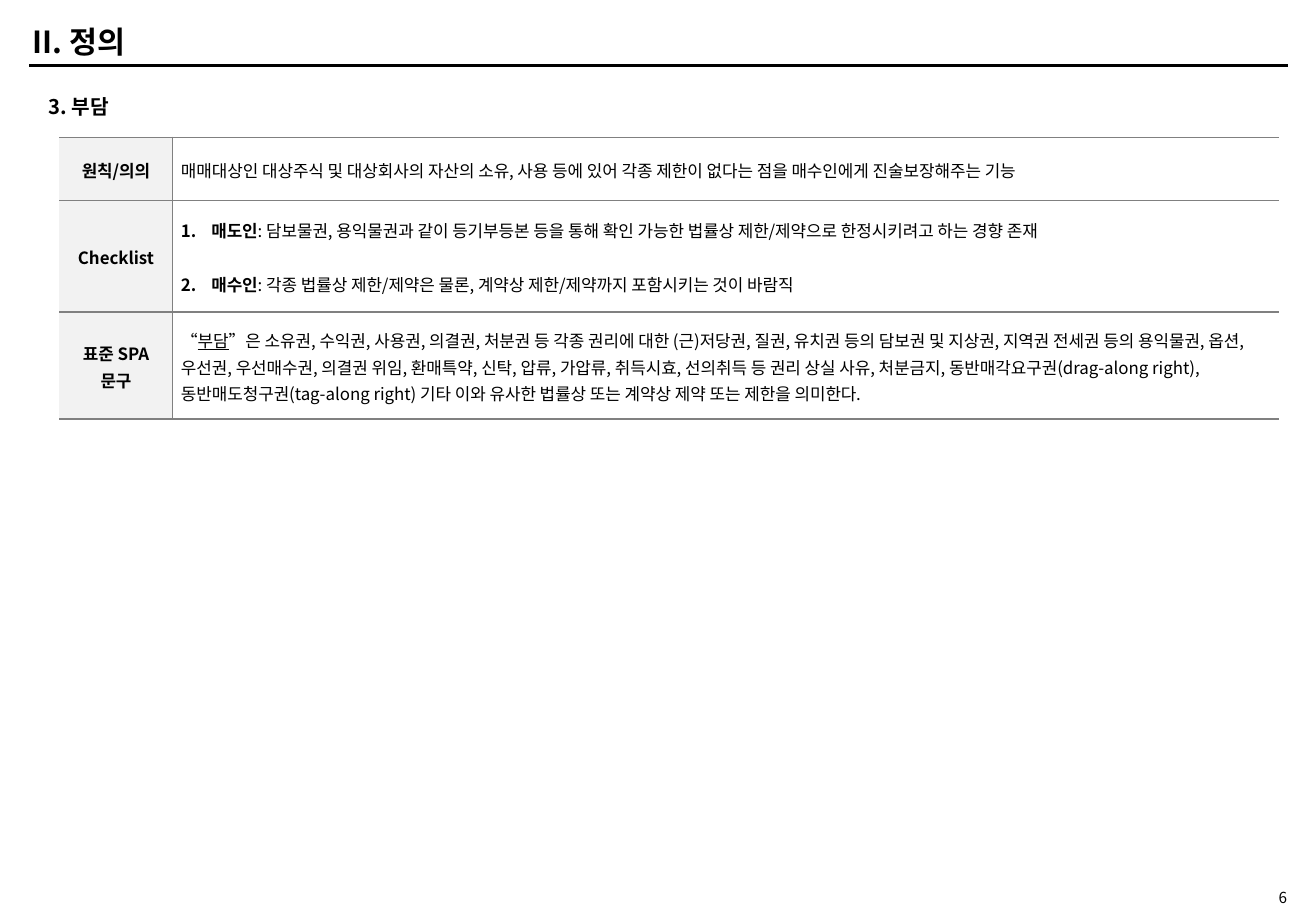
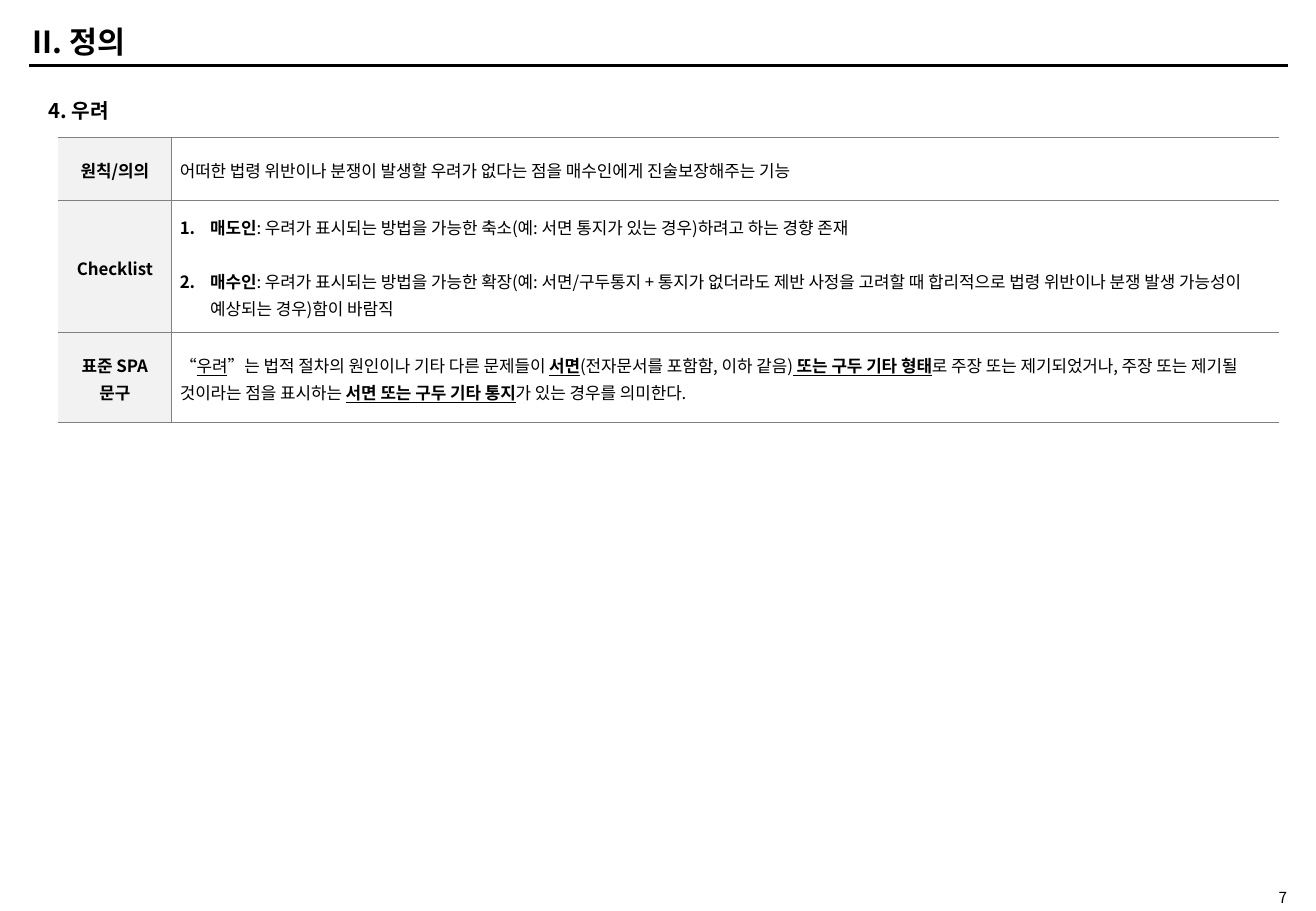
from lxml.etree import SubElement
from pptx import Presentation
from pptx.dml.color import RGBColor
from pptx.enum.shapes import MSO_CONNECTOR
from pptx.enum.text import MSO_ANCHOR, MSO_AUTO_SIZE, PP_ALIGN
from pptx.oxml import parse_xml
from pptx.oxml.ns import nsdecls, qn
from pptx.util import Inches, Pt

BLACK = RGBColor(0, 0, 0)
GREY = RGBColor(0x80, 0x80, 0x80)
PALE = RGBColor(0xF2, 0xF2, 0xF2)
FONT = "Noto Sans CJK KR"
LABELS = ["원칙/의의", "Checklist", "표준 SPA\n문구"]
LEFT, RIGHT = 2.22, 97.88
EDGE, SIDE = 97.23, 8.59


class Deck:
    """Style and current slide; places and sizes are percentages of the slide."""

    def __init__(self):
        self.prs = Presentation()
        self.prs.slide_width = Inches(10.83)
        self.prs.slide_height = Inches(7.5)
        self.slide = None

    def x(self, share):
        return int(self.prs.slide_width * share / 100)

    def y(self, share):
        return int(self.prs.slide_height * share / 100)

    def box(self, left, top, wide, high):
        return self.x(left), self.y(top), self.x(wide), self.y(high)

    def run(self, para, text, size, style=""):
        """Add a run; style holds b for bold and u for underline."""
        for i, line in enumerate(text.split("\n")):
            if i:
                para.add_line_break()
            run = para.add_run()
            run.text = line
            font = run.font
            font.name, font.size = FONT, Pt(size)
            font.bold, font.underline = "b" in style, "u" in style
            font.color.rgb = BLACK
            SubElement(run._r.get_or_add_rPr(), qn("a:ea"), typeface=FONT)

    def page(self, title, number):
        self.slide = self.prs.slides.add_slide(self.prs.slide_layouts[5])
        self.rule()
        self.text((90.03, 97.47, 8.68, 2), str(number), 9,
                  align=PP_ALIGN.RIGHT, anchor=MSO_ANCHOR.MIDDLE, pad=0)
        head = self.slide.shapes.title
        head.left, head.top, head.width, head.height = self.box(1.57, 2, 47.18, 5.07)
        frame = head.text_frame
        frame.auto_size = MSO_AUTO_SIZE.NONE
        frame.vertical_anchor = MSO_ANCHOR.MIDDLE
        para = frame.paragraphs[0]
        para.alignment = PP_ALIGN.LEFT
        self.run(para, title, 18, "b")

    def rule(self):
        line = self.slide.shapes.add_connector(
            MSO_CONNECTOR.STRAIGHT, self.x(LEFT), self.y(7.2), self.x(RIGHT), self.y(7.2))
        line.line.color.rgb = BLACK
        line.line.width = Pt(2)
        SubElement(line._element.spPr, qn("a:effectLst"))

    def text(self, place, text, size, style="", align=PP_ALIGN.LEFT,
             anchor=MSO_ANCHOR.TOP, pad=0.05):
        frame = self.slide.shapes.add_textbox(*self.box(*place)).text_frame
        frame.word_wrap = True
        frame.vertical_anchor = anchor
        frame.margin_top = frame.margin_bottom = Inches(pad)
        para = frame.paragraphs[0]
        para.alignment = align
        self.run(para, text, size, style)

    def table(self, left, top, rows, bodies):
        """Rows are heights; a body is a list of paragraphs, each a list of runs."""
        cols = [SIDE, EDGE - left - SIDE]
        table = self.slide.shapes.add_table(
            len(rows), 2, *self.box(left, top, sum(cols), sum(rows))).table
        table.first_row = table.horz_banding = False
        for col, wide in zip(table.columns, cols):
            col.width = self.x(wide)
        for i, (high, label, body) in enumerate(zip(rows, LABELS, bodies)):
            table.rows[i].height = self.y(high)
            self.cell(table.cell(i, 0), [[(label, "b")]], "RTB", PP_ALIGN.CENTER, PALE)
            self.cell(table.cell(i, 1), body, "LTB")

    def cell(self, cell, paras, sides, align=PP_ALIGN.LEFT, fill=None):
        cell.vertical_anchor = MSO_ANCHOR.MIDDLE
        cell.margin_left = cell.margin_right = Inches(0.07)
        cell.margin_top = cell.margin_bottom = 0
        if fill is None:
            cell.fill.background()
        else:
            cell.fill.solid()
            cell.fill.fore_color.rgb = fill
        self.edges(cell, sides)
        frame = cell.text_frame
        for i, runs in enumerate(paras):
            para = frame.add_paragraph() if i else frame.paragraphs[0]
            para.alignment = align
            para.line_spacing = 1.1
            if i:
                para.space_before = Pt(16)
            if len(paras) > 1:
                self.count(para)
            for text, style in runs:
                self.run(para, text, 10, style)

    def edges(self, cell, sides):
        props = cell._tc.get_or_add_tcPr()
        for i, side in enumerate("LRTB"):
            paint = (f'<a:solidFill><a:srgbClr val="{GREY}"/></a:solidFill>'
                     if side in sides else "<a:noFill/>")
            props.insert(i, parse_xml(
                f'<a:ln{side} {nsdecls("a")} w="{Pt(1)}">{paint}</a:ln{side}>'))

    def count(self, para):
        """Number the paragraph with a hanging indent."""
        props = para._p.get_or_add_pPr()
        props.set("marL", str(Inches(0.25)))
        props.set("indent", str(-Inches(0.25)))
        SubElement(props, qn("a:buFont"), typeface=FONT)
        SubElement(props, qn("a:buAutoNum"), type="arabicPeriod")


def checks(seller, buyer):
    return [[("매도인", "b"), (": " + seller, "")],
            [("매수인", "b"), (": " + buyer, "")]]


def main():
    deck = Deck()

    deck.page("II. 정의", 6)
    deck.text((2.77, 9.73, 37.49, 4), "3. 부담", 12, "b")
    deck.table(4.52, 15.07, [6.93, 12.27, 11.73], [
        [[("매매대상인 대상주식 및 대상회사의 자산의 소유, 사용 등에 있어 각종 제한이 "
           "없다는 점을 매수인에게 진술보장해주는 기능", "")]],
        checks("담보물권, 용익물권과 같이 등기부등본 등을 통해 확인 가능한 법률상 "
               "제한/제약으로 한정시키려고 하는 경향 존재",
               "각종 법률상 제한/제약은 물론, 계약상 제한/제약까지 포함시키는 것이 바람직"),
        [[("“", ""), ("부담", "u"),
          ("”은 소유권, 수익권, 사용권, 의결권, 처분권 등 각종 권리에 대한 (근)저당권, "
           "질권, 유치권 등의 담보권 및 지상권, 지역권 전세권 등의 용익물권, 옵션, 우선권, "
           "우선매수권, 의결권 위임, 환매특약, 신탁, 압류, 가압류, 취득시효, 선의취득 등 "
           "권리 상실 사유, 처분금지, 동반매각요구권(drag-along right), "
           "동반매도청구권(tag-along right) 기타 이와 유사한 법률상 또는 계약상 제약 "
           "또는 제한을 의미한다.", "")]],
    ])

    deck.page("II. 정의", 7)
    deck.text((2.77, 10.13, 37.49, 4), "4. 우려", 12, "b")
    deck.table(4.43, 15.07, [6.93, 14.53, 9.87], [
        [[("어떠한 법령 위반이나 분쟁이 발생할 우려가 없다는 점을 매수인에게 "
           "진술보장해주는 기능", "")]],
        checks("우려가 표시되는 방법을 가능한 축소(예: 서면 통지가 있는 경우)하려고 "
               "하는 경향 존재",
               "우려가 표시되는 방법을 가능한 확장(예: 서면/구두통지 + 통지가 없더라도 "
               "제반 사정을 고려할 때 합리적으로 법령 위반이나 분쟁 발생 가능성이 "
               "예상되는 경우)함이 바람직"),
        [[("“", ""), ("우려", "u"),
          ("”는 법적 절차의 원인이나 기타 다른 문제들이 ", ""), ("서면", "bu"),
          ("(전자문서를 포함함, 이하 같음)", ""), (" ", "u"),
          ("또는 구두 기타 형태", "bu"),
          ("로 주장 또는 제기되었거나, 주장 또는 제기될 것이라는 점을 표시하는 ", ""),
          ("서면 또는 구두 기타 통지", "bu"), ("가 있는 경우를 의미한다.", "")]],
    ])

    deck.prs.save("out.pptx")


if __name__ == "__main__":
    main()
